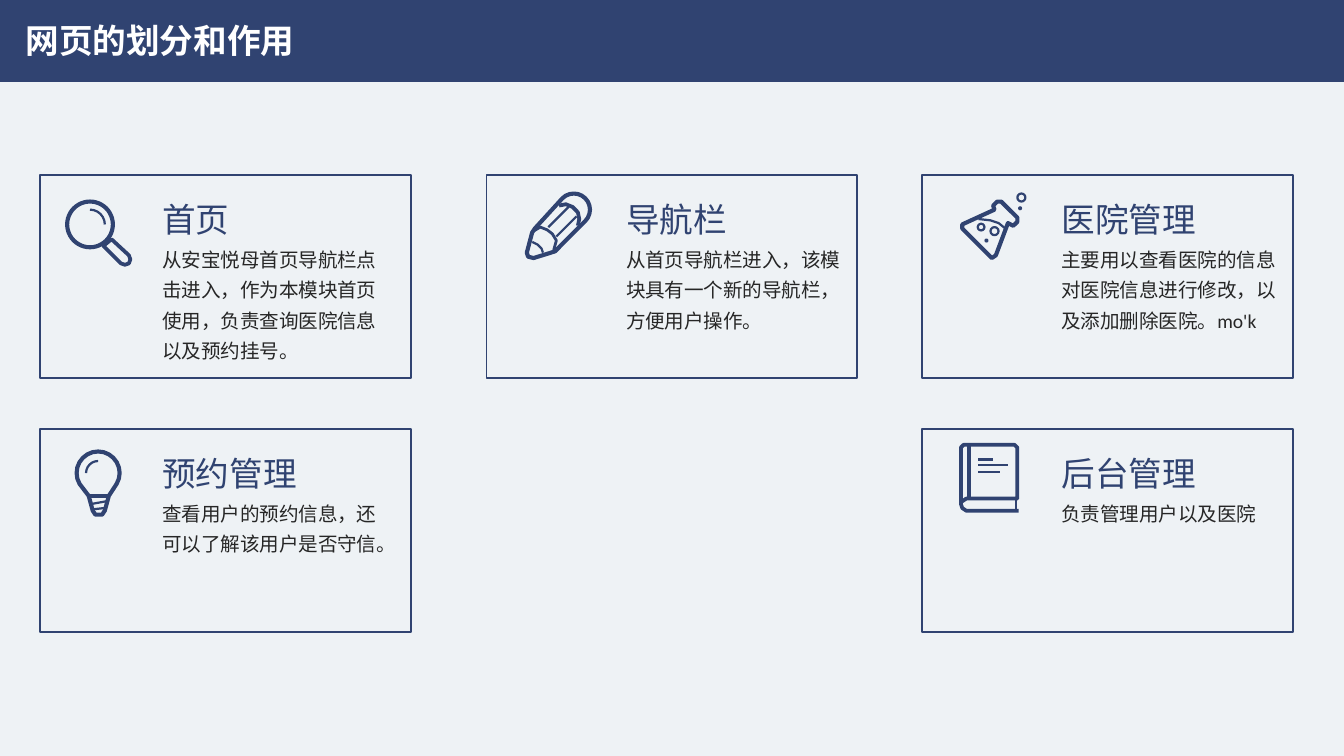
from math import cos, sin, radians

from lxml import etree
from pptx import Presentation
from pptx.dml.color import RGBColor
from pptx.enum.shapes import MSO_CONNECTOR, MSO_SHAPE
from pptx.enum.text import MSO_ANCHOR, MSO_AUTO_SIZE, PP_ALIGN
from pptx.oxml.ns import qn
from pptx.util import Inches, Pt

RECT, OVAL, ARC = MSO_SHAPE.RECTANGLE, MSO_SHAPE.OVAL, MSO_SHAPE.ARC
LINE = MSO_CONNECTOR.STRAIGHT
TOP, GROW = MSO_ANCHOR.TOP, MSO_AUTO_SIZE.SHAPE_TO_FIT_TEXT
CENTER, LEFT = PP_ALIGN.CENTER, PP_ALIGN.LEFT

NAVY = RGBColor(0x30, 0x43, 0x71)
PALE = RGBColor(0xEE, 0xF2, 0xF5)
DARK = RGBColor(0x26, 0x26, 0x26)
WHITE = RGBColor(0xFF, 0xFF, 0xFF)
SANS, LATIN = "Noto Sans CJK SC", "Calibri"

# Widescreen page, 16 by 9
deck = Presentation()
deck.slide_width, deck.slide_height = Inches(10), Inches(10 * 9 / 16)
slide = deck.slides.add_slide(deck.slide_layouts[5])
slide.background.fill.solid()
slide.background.fill.fore_color.rgb = PALE
shapes = slide.shapes


def write(box, text, size, face, color, align=LEFT):
    frame = box.text_frame
    frame.text = text
    frame.vertical_anchor = TOP
    frame.auto_size = GROW
    frame.word_wrap = True
    para = frame.paragraphs[0]
    para.alignment = align
    font = para.runs[0].font
    font.size, font.name, font.color.rgb = Pt(size), face, color
    return frame


def draw(points, width, close=False):
    dots = [(Inches(x), Inches(y)) for x, y in points]
    if len(dots) == 2:
        stroke = shapes.add_connector(LINE, *dots[0], *dots[1])
        etree.SubElement(stroke._element.spPr, qn("a:effectLst"))
    else:
        path = shapes.build_freeform(*dots[0])
        path.add_line_segments(dots[1:], close=close)
        stroke = path.convert_to_shape()
        stroke.fill.background()
        stroke.shadow.inherit = False
    stroke.line.color.rgb = NAVY
    stroke.line.width = Pt(width)


# Header bar, placed behind the title
bar = shapes.add_shape(RECT, 0, 0, Inches(10), Inches(0.61))
bar.fill.solid()
bar.fill.fore_color.rgb = NAVY
bar.line.fill.background()
bar.shadow.inherit = False
shapes._spTree.insert(2, bar._element)

title = shapes.title
title.left, title.top = Inches(0.09), Inches(0.1)
title.width, title.height = Inches(2.2), Inches(0.4)
frame = write(title, "网页的划分和作用", 18, SANS, WHITE, CENTER)
frame.word_wrap = False
frame.margin_left = frame.margin_right = Inches(0.05)
frame.paragraphs[0].runs[0].font.bold = True

# Cards: left, top, text left, heading, body
ROW_A, ROW_B = 1.3, 3.19
cards = [
    (0.3, ROW_A, 1.11, "首页", "从安宝悦母首页导航栏点击进入，作为本模块首页使用，负责查询医院信息以及预约挂号。"),
    (3.62, ROW_A, 4.56, "导航栏", "从首页导航栏进入，该模块具有一个新的导航栏，方便用户操作。"),
    (6.86, ROW_A, 7.8, "医院管理", "主要用以查看医院的信息对医院信息进行修改，以及添加删除医院。mo'k"),
    (0.3, ROW_B, 1.11, "预约管理", "查看用户的预约信息，还可以了解该用户是否守信。"),
    (6.86, ROW_B, 7.8, "后台管理", "负责管理用户以及医院"),
]
for left, top, inset, head, body in cards:
    card = shapes.add_shape(RECT, Inches(left), Inches(top), Inches(2.76), Inches(1.51))
    card.fill.background()
    card.line.color.rgb = NAVY
    card.line.width = Pt(1)
    card.shadow.inherit = False
    lines = round(len(body) / 11)
    box = shapes.add_textbox(Inches(inset), Inches(top + 0.44), Inches(1.82), Inches(0.1 + 0.23 * lines))
    write(box, body, 10.5, LATIN, DARK).paragraphs[0].line_spacing = 1.3
    box = shapes.add_textbox(Inches(inset), Inches(top + 0.13), Inches(1.47), Inches(0.4))
    write(box, head, 18, SANS, NAVY)

# Round icon parts: centre x, centre y, diameter, line width (0 means solid)
rounds = [
    (0.67, 1.67, 0.34, 2.2),
    (7.4, 1.72, 0.06, 1.2), (7.6, 1.47, 0.06, 1.2), (7.3, 1.69, 0.05, 1.2),
    (7.34, 1.79, 0.03, 0), (7.59, 1.55, 0.03, 0),
]
for x, y, size, width in rounds:
    ring = shapes.add_shape(OVAL, Inches(x - size / 2), Inches(y - size / 2), Inches(size), Inches(size))
    ring.shadow.inherit = False
    if width:
        ring.fill.background()
        ring.line.color.rgb = NAVY
        ring.line.width = Pt(width)
    else:
        ring.fill.solid()
        ring.fill.fore_color.rgb = NAVY
        ring.line.fill.background()

# Glints on the lens and the bulb: centre x, centre y, radius, turn
for x, y, rad, turn in [(0.67, 1.67, 0.11, 0), (0.73, 3.52, 0.09, 270)]:
    glint = shapes.add_shape(ARC, Inches(x - rad), Inches(y - rad), Inches(2 * rad), Inches(2 * rad))
    glint.rotation = turn
    glint.fill.background()
    glint.line.color.rgb = NAVY
    glint.line.width = Pt(1.2)
    glint.shadow.inherit = False

# Lens handle
draw([(0.77, 1.83), (0.83, 1.78), (0.96, 1.9), (0.97, 1.93), (0.96, 1.96),
      (0.93, 1.97), (0.9, 1.96)], 2, True)

# Pencil
cap = [(4.27 + 0.12 * cos(radians(a)), 1.56 + 0.12 * sin(radians(a))) for a in range(225, 406, 15)]
draw([(3.92, 1.88), (3.96, 1.73), (3.98, 1.7), *cap, (4.13, 1.87), (4.1, 1.88),
      (3.97, 1.92), (3.93, 1.91)], 2.2, True)
draw([(4.16, 1.53), (4.21, 1.52), (4.26, 1.54), (4.3, 1.58), (4.31, 1.63), (4.3, 1.68)], 2)
draw([(3.97, 1.72), (4.02, 1.69), (4.07, 1.71), (4.11, 1.74), (4.14, 1.79), (4.12, 1.86)], 1.5)
draw([(3.96, 1.8), (4, 1.82), (4.03, 1.85), (4.04, 1.88)], 1.2)
draw([(4.08, 1.69), (4.23, 1.54)], 1.2)
draw([(4.14, 1.76), (4.29, 1.61)], 1.2)

# Flask
draw([(7.16, 1.67), (7.4, 1.56), (7.39, 1.53), (7.42, 1.5), (7.45, 1.5), (7.57, 1.62),
      (7.57, 1.65), (7.54, 1.68), (7.5, 1.66), (7.41, 1.9), (7.38, 1.92), (7.16, 1.7)], 2.2, True)
draw([(7.28, 1.63), (7.37, 1.64), (7.43, 1.66), (7.48, 1.7)], 1.2)

# Bulb
dome = [(0.73 + 0.16 * cos(radians(a)), 3.52 + 0.16 * sin(radians(a))) for a in range(150, 391, 15)]
draw([(0.66, 3.69), *dome, (0.81, 3.69), (0.78, 3.8), (0.76, 3.83), (0.71, 3.83), (0.69, 3.8)], 2.2, True)
draw([(0.66, 3.69), (0.81, 3.69)], 2)
draw([(0.68, 3.75), (0.79, 3.73)], 1.2)
draw([(0.69, 3.79), (0.78, 3.78)], 1.2)

# Book
draw([(7.58, 3.8), (7.19, 3.8), (7.16, 3.78), (7.15, 3.75), (7.15, 3.33), (7.17, 3.31),
      (7.55, 3.31), (7.57, 3.33), (7.57, 3.71), (7.19, 3.71), (7.16, 3.73)], 2)
draw([(7.21, 3.31), (7.21, 3.71)], 2)
draw([(7.56, 3.71), (7.56, 3.8)], 1.5)
for y, end in [(3.42, 7.39), (3.46, 7.5), (3.51, 7.44)]:
    draw([(7.28, y), (end, y)], 1.2)

deck.save("out.pptx")
